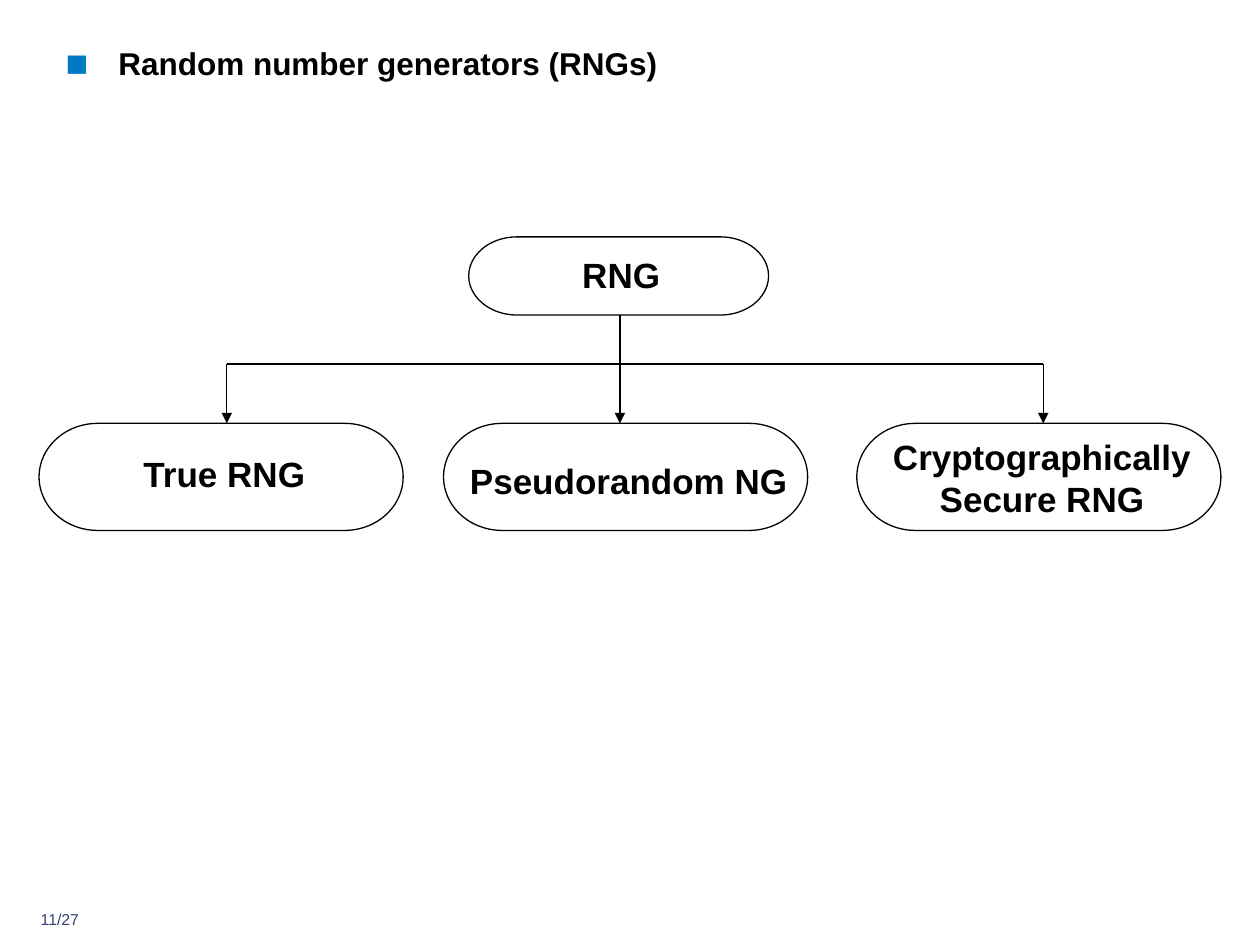
from lxml import etree
from pptx import Presentation
from pptx.dml.color import RGBColor
from pptx.enum.shapes import MSO_CONNECTOR as CONN, MSO_SHAPE as SHAPE
from pptx.enum.text import MSO_ANCHOR as ANCHOR, PP_ALIGN as ALIGN
from pptx.oxml.ns import qn
from pptx.util import Inches, Pt

COLORS = {"ink": "000000", "bullet": "007AC2", "page": "394073"}
FONT = "Arial"


def write(tf, text, size=20, color="ink", bold=True, align=ALIGN.CENTER, spacing=None):
    tf.word_wrap = True
    tf.vertical_anchor = ANCHOR.TOP
    tf.margin_left = tf.margin_right = tf.margin_top = tf.margin_bottom = 0
    p = tf.paragraphs[0]
    p.alignment = align
    if spacing:
        p.line_spacing = Pt(spacing)
    r = p.add_run()
    r.text = text
    r.font.name = FONT
    r.font.size = Pt(size)
    r.font.bold = bold
    r.font.color.rgb = RGBColor.from_string(COLORS[color])
    return p


class Deck:
    def __init__(self, slide, line_width=0.75):
        self.slide = slide
        self.line_width = line_width

    def outline(self, line):
        line.color.rgb = RGBColor.from_string(COLORS["ink"])
        line.width = Pt(self.line_width)

    def title(self, text, x, y, w, h, indent):
        sp = self.slide.shapes.title
        sp.left, sp.top, sp.width, sp.height = map(Inches, (x, y, w, h))
        p = write(sp.text_frame, text, size=18, align=ALIGN.LEFT)
        p.space_before = Pt(4.5)
        pPr = p._p.get_or_add_pPr()
        pPr.set("marL", str(Inches(indent)))
        pPr.set("indent", str(-Inches(indent)))
        clr = etree.SubElement(pPr, qn("a:buClr"))
        etree.SubElement(clr, qn("a:srgbClr"), val=COLORS["bullet"])
        etree.SubElement(pPr, qn("a:buSzPct"), val="120000")
        etree.SubElement(pPr, qn("a:buFont"), typeface=FONT)
        etree.SubElement(pPr, qn("a:buChar"), char="■")

    def text(self, text, x, y, w, h, shapes=None, **fmt):
        shapes = shapes or self.slide.shapes
        box = shapes.add_textbox(*map(Inches, (x, y, w, h)))
        write(box.text_frame, text, **fmt)

    def node(self, text, frame, label):
        group = self.slide.shapes.add_group_shape()
        sp = group.shapes.add_shape(SHAPE.FLOWCHART_TERMINATOR, *map(Inches, frame))
        sp.shadow.inherit = False
        sp.fill.background()
        self.outline(sp.line)
        self.text(text, *label, shapes=group.shapes, spacing=24)

    def line(self, x1, y1, x2, y2, arrow=False):
        cx = self.slide.shapes.add_connector(CONN.STRAIGHT, *map(Inches, (x1, y1, x2, y2)))
        self.outline(cx.line)
        if arrow:
            etree.SubElement(cx.line._get_or_add_ln(), qn("a:tailEnd"), type="triangle")
        etree.SubElement(cx._element.spPr, qn("a:effectLst"))


def main():
    prs = Presentation()
    prs.slide_width, prs.slide_height = Inches(10), Inches(7.5)
    deck = Deck(prs.slides.add_slide(prs.slide_layouts[5]))

    deck.title("Random number generators (RNGs)", 0.52, 0.35, 7.07, 0.56, indent=0.42)
    deck.node("RNG", (3.72, 1.88, 2.38, 0.62), (3.79, 2.01, 2.28, 0.33))

    bar_y, child_y = 2.89, 3.36
    children = [
        ("True RNG", 0.31, 3.59, 0.33),
        ("Pseudorandom NG", 3.52, 3.65, 0.33),
        ("Cryptographically Secure RNG", 6.8, 3.46, 0.67),
    ]
    for name, x, label_y, label_h in children:
        deck.node(name, (x, child_y, 2.89, 0.85), (x + 0.08, label_y, 2.78, label_h))

    left, middle, right = 1.8, 4.92, 8.28
    deck.line(middle, 2.5, middle, bar_y)
    deck.line(left, bar_y, right, bar_y)
    for x in (left, middle, right):
        deck.line(x, bar_y, x, child_y, arrow=True)

    deck.text("11/27", 0.2, 7.22, 0.55, 0.24, size=9, color="page", bold=False)
    prs.save("out.pptx")


if __name__ == "__main__":
    main()
